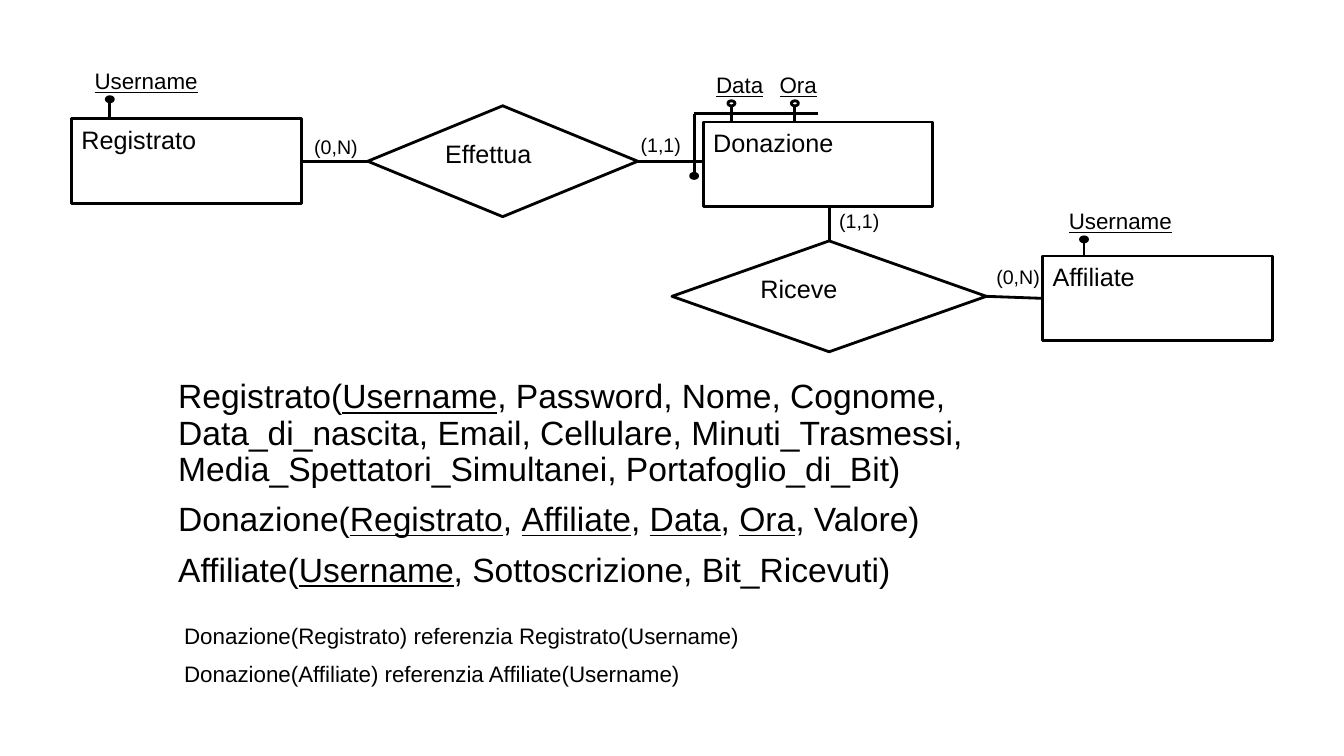
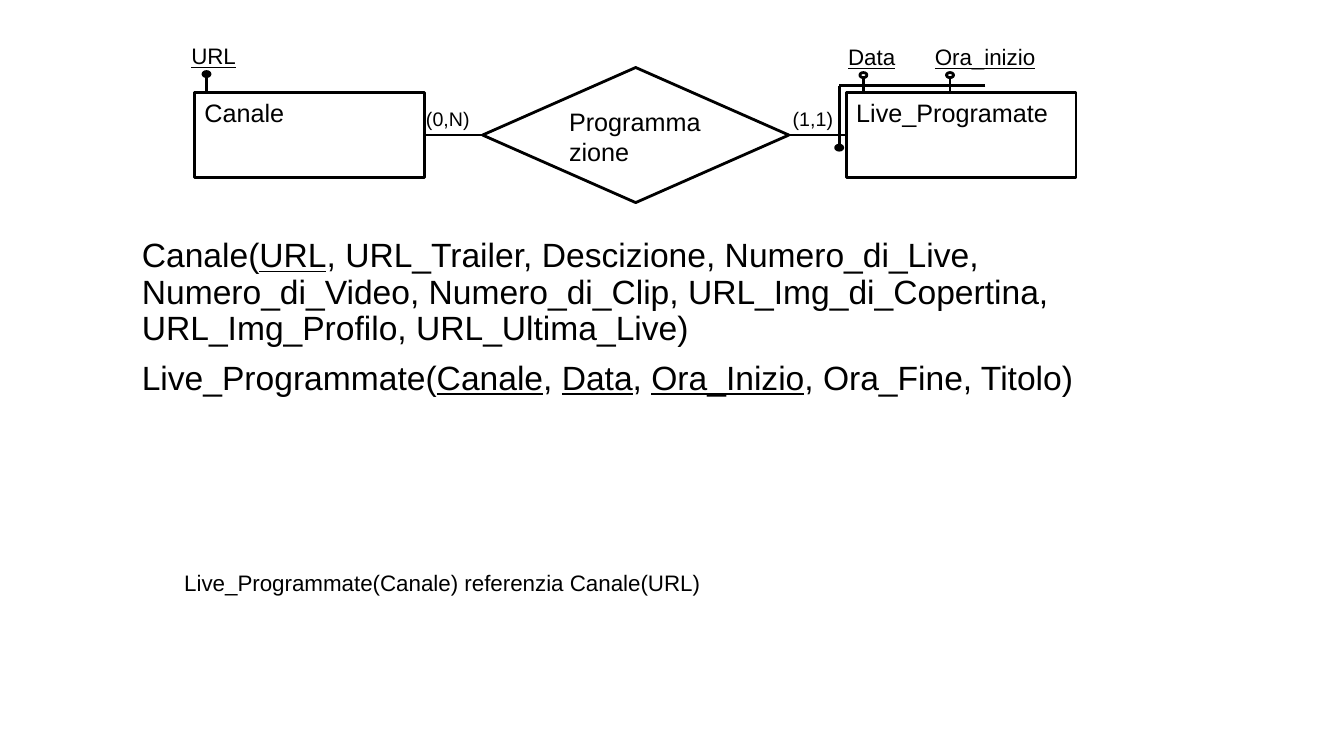
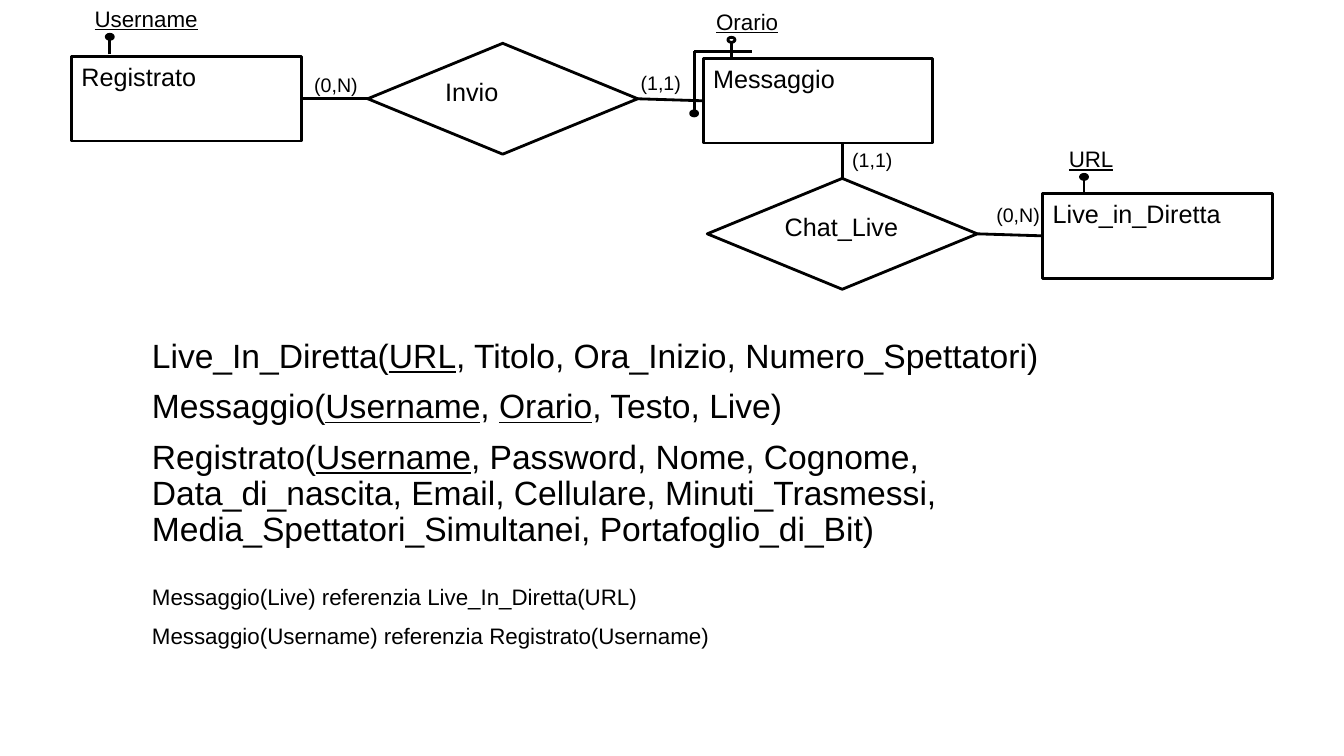
from lxml import etree
from pptx import Presentation
from pptx.dml.color import RGBColor
from pptx.enum.shapes import MSO_CONNECTOR, MSO_SHAPE
from pptx.enum.text import MSO_ANCHOR, MSO_AUTO_SIZE, PP_ALIGN
from pptx.oxml.ns import qn
from pptx.util import Inches, Pt

COLORS = {"ink": "000000", "paper": "FFFFFF"}
FONT = "Arial"
SIZES = {"schema": 24, "entity": 18, "attribute": 16, "reference": 16, "cardinality": 14}
LINE_WIDTH = Pt(2)
ENTITY_SIZE = (2.28, 0.84)
DOT_SIZE = (0.07, 0.05)
STEM = 0.15
JOIN_TOLERANCE = Inches(0.025)
TOP, LEFT, BOTTOM, RIGHT = range(4)

REGISTRATO = (
    "Registrato(*Username*, Password, Nome, Cognome, Data_di_nascita, Email, Cellulare, "
    "Minuti_Trasmessi, Media_Spettatori_Simultanei, Portafoglio_di_Bit)"
)

# Asterisks enclose underlined keys. Positions and sizes are in inches.
# entities: name, left, top             relations: name, left, top, width, height
# links: entity, side, relation, side   cardinalities: text, left, top
# attributes: name, stem x, dot top, dot colour
# composite_key: left, top, right end, dot top
# schema, references: left, top, paragraphs
SLIDES = [
    {
        "entities": [("Registrato", 0.71, 1.18), ("Donazione", 6.98, 1.21), ("Affiliate", 10.35, 2.54)],
        "relations": [("Effettua", 3.65, 1.05, 2.68, 1.1), ("Riceve", 6.67, 2.39, 3.12, 1.1)],
        "links": [
            ("Registrato", RIGHT, "Effettua", LEFT),
            ("Donazione", LEFT, "Effettua", RIGHT),
            ("Donazione", BOTTOM, "Riceve", TOP),
            ("Affiliate", LEFT, "Riceve", RIGHT),
        ],
        "cardinalities": [("(0,N)", 3.02, 1.29), ("(1,1)", 6.26, 1.27), ("(1,1)", 8.23, 2.02), ("(0,N)", 9.79, 2.58)],
        "attributes": [
            ("Username", 1.09, 0.96, "ink"),
            ("Username", 10.76, 2.35, "ink"),
            ("Data", 7.26, 1, "paper"),
            ("Ora", 7.89, 1, "paper"),
        ],
        "composite_key": (6.89, 1.13, 8.12, 1.72),
        "schema": (1.67, 3.72, [
            REGISTRATO,
            "Donazione(*Registrato*, *Affiliate*, *Data*, *Ora*, Valore)",
            "Affiliate(*Username*, Sottoscrizione, Bit_Ricevuti)",
        ]),
        "references": (1.73, 6.15, [
            "Donazione(Registrato) referenzia Registrato(Username)",
            "Donazione(Affiliate) referenzia Affiliate(Username)",
        ]),
    },
    {
        "entities": [("Canale", 1.93, 0.92), ("Live_Programate", 8.4, 0.92)],
        "relations": [("Programmazione", 4.79, 0.67, 3.04, 1.34)],
        "links": [
            ("Canale", RIGHT, "Programmazione", LEFT),
            ("Live_Programate", LEFT, "Programmazione", RIGHT),
        ],
        "cardinalities": [("(0,N)", 4.13, 1.01), ("(1,1)", 7.77, 1.01)],
        "attributes": [
            ("URL", 2.05, 0.71, "ink"),
            ("Data", 8.57, 0.72, "paper"),
            ("Ora_inizio", 9.43, 0.72, "paper"),
        ],
        "composite_key": (8.33, 0.85, 9.78, 1.44),
        "schema": (1.31, 2.32, [
            "Canale(*URL*, URL_Trailer, Descizione, Numero_di_Live, Numero_di_Video, Numero_di_Clip, "
            "URL_Img_di_Copertina, URL_Img_Profilo, URL_Ultima_Live)",
            "Live_Programmate(*Canale*, *Data*, *Ora_Inizio*, Ora_Fine, Titolo)",
        ]),
        "references": (1.73, 5.63, ["Live_Programmate(Canale) referenzia Canale(URL)"]),
    },
    {
        "entities": [("Registrato", 0.71, 0.56), ("Messaggio", 6.98, 0.58), ("Live_in_Diretta", 10.35, 1.92)],
        "relations": [("Invio", 3.65, 0.43, 2.68, 1.1), ("Chat_Live", 7.02, 1.77, 2.68, 1.1)],
        "links": [
            ("Registrato", RIGHT, "Invio", LEFT),
            ("Messaggio", LEFT, "Invio", RIGHT),
            ("Messaggio", BOTTOM, "Chat_Live", TOP),
            ("Live_in_Diretta", LEFT, "Chat_Live", RIGHT),
        ],
        "cardinalities": [("(0,N)", 3.02, 0.67), ("(1,1)", 6.26, 0.65), ("(1,1)", 8.36, 1.42), ("(0,N)", 9.79, 1.96)],
        "attributes": [
            ("Username", 1.09, 0.34, "ink"),
            ("URL", 10.76, 1.73, "ink"),
            ("Orario", 7.26, 0.37, "paper"),
        ],
        "composite_key": (6.89, 0.51, 7.46, 1.1),
        "schema": (1.41, 3.32, [
            "Live_In_Diretta(*URL*, Titolo, Ora_Inizio, Numero_Spettatori)",
            "Messaggio(*Username*, *Orario*, Testo, Live)",
            REGISTRATO,
        ]),
        "references": (1.41, 5.77, [
            "Messaggio(Live) referenzia Live_In_Diretta(URL)",
            "Messaggio(Username) referenzia Registrato(Username)",
        ]),
    },
]


def rgb(name):
    return RGBColor.from_string(COLORS[name])


def write(text_frame, texts, role):
    """Fill the frame with one paragraph per text, underlining parts between asterisks."""
    text_frame.word_wrap = True
    text_frame.vertical_anchor = MSO_ANCHOR.TOP
    for index, text in enumerate(texts):
        paragraph = text_frame.add_paragraph() if index else text_frame.paragraphs[0]
        paragraph.alignment = PP_ALIGN.LEFT
        if role in ("schema", "reference"):
            paragraph.line_spacing = 0.9
            paragraph.space_before = Pt(10 if index else 0)
        for position, part in enumerate(text.split("*")):
            if not part:
                continue
            run = paragraph.add_run()
            run.text = part
            run.font.name = FONT
            run.font.size = Pt(SIZES[role])
            run.font.color.rgb = rgb("ink")
            if position % 2:
                run.font.underline = True


def add_text(slide, texts, role, left, top, width, height):
    box = slide.shapes.add_textbox(Inches(left), Inches(top), Inches(width), Inches(height))
    write(box.text_frame, texts, role)
    if role in ("attribute", "cardinality"):
        box.text_frame.auto_size = MSO_AUTO_SIZE.SHAPE_TO_FIT_TEXT


def add_outline(slide, kind, left, top, width, height, fill=None):
    shape = slide.shapes.add_shape(kind, Inches(left), Inches(top), Inches(width), Inches(height))
    shape.shadow.inherit = False
    if fill:
        shape.fill.solid()
        shape.fill.fore_color.rgb = rgb(fill)
    else:
        shape.fill.background()
    shape.line.color.rgb = rgb("ink")
    shape.line.width = LINE_WIDTH
    return shape


def add_line(slide, start, end):
    """Draw a straight line between two points given as lengths."""
    line = slide.shapes.add_connector(MSO_CONNECTOR.STRAIGHT, *start, *end)
    line.line.color.rgb = rgb("ink")
    line.line.width = LINE_WIDTH
    etree.SubElement(line._element.spPr, qn("a:effectLst"))
    return line


def side_middle(shape, side):
    center_x = shape.left + shape.width // 2
    center_y = shape.top + shape.height // 2
    return {
        TOP: (center_x, shape.top),
        LEFT: (shape.left, center_y),
        BOTTOM: (center_x, shape.top + shape.height),
        RIGHT: (shape.left + shape.width, center_y),
    }[side]


def add_link(slide, entity, entity_side, relation, relation_side):
    """Run level or upright from the relation's tip, joining the entity if it meets its middle."""
    middle = side_middle(entity, entity_side)
    tip = side_middle(relation, relation_side)
    upright = entity_side in (TOP, BOTTOM)
    start = (tip[0], middle[1]) if upright else (middle[0], tip[1])
    line = add_line(slide, start, tip)
    if max(abs(start[0] - middle[0]), abs(start[1] - middle[1])) <= JOIN_TOLERANCE:
        line.begin_connect(entity, entity_side)
    line.end_connect(relation, relation_side)


def add_dot(slide, center_x, top, fill):
    add_outline(slide, MSO_SHAPE.OVAL, center_x - DOT_SIZE[0] / 2, top, *DOT_SIZE, fill)


def add_attribute(slide, name, x, dot_top, fill):
    stem_top = dot_top + DOT_SIZE[1]
    add_line(slide, (Inches(x), Inches(stem_top + STEM)), (Inches(x), Inches(stem_top)))
    add_dot(slide, x, dot_top, fill)
    add_text(slide, [f"*{name}*"], "attribute", x - 0.25, dot_top - 0.34, 1.69, 0.37)


def add_composite_key(slide, left, top, right, dot_top):
    corner = (Inches(left), Inches(top))
    add_line(slide, (Inches(right), Inches(top)), corner)
    add_line(slide, (Inches(left), Inches(dot_top)), corner)
    add_dot(slide, left, dot_top, "ink")


def build_slide(presentation, content):
    slide = presentation.slides.add_slide(presentation.slide_layouts[6])
    for key, role, height in (("schema", "schema", 2.96), ("references", "reference", 1.18)):
        left, top, texts = content[key]
        add_text(slide, texts, role, left, top, 10, height)
    nodes = {}
    for name, left, top in content["entities"]:
        nodes[name] = add_outline(slide, MSO_SHAPE.RECTANGLE, left, top, *ENTITY_SIZE)
    for name, *box in content["relations"]:
        nodes[name] = add_outline(slide, MSO_SHAPE.DIAMOND, *box)
    for name, shape in nodes.items():
        write(shape.text_frame, [name], "entity")
    for entity, entity_side, relation, relation_side in content["links"]:
        add_link(slide, nodes[entity], entity_side, nodes[relation], relation_side)
    for text, left, top in content["cardinalities"]:
        add_text(slide, [text], "cardinality", left, top, 0.82, 0.33)
    for attribute in content["attributes"]:
        add_attribute(slide, *attribute)
    add_composite_key(slide, *content["composite_key"])


def main():
    presentation = Presentation()
    presentation.slide_width = Inches(13.34)
    presentation.slide_height = Inches(7.5)
    for content in SLIDES:
        build_slide(presentation, content)
    presentation.save("out.pptx")


if __name__ == "__main__":
    main()
